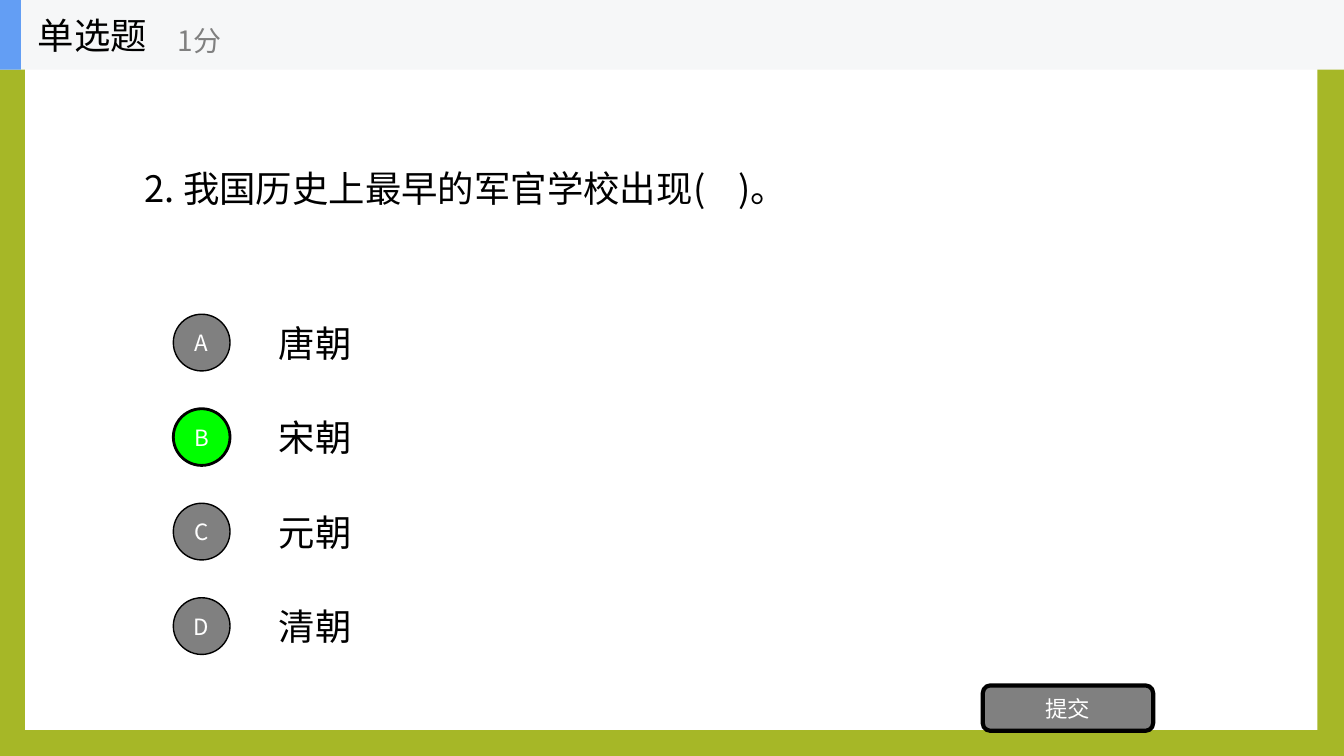
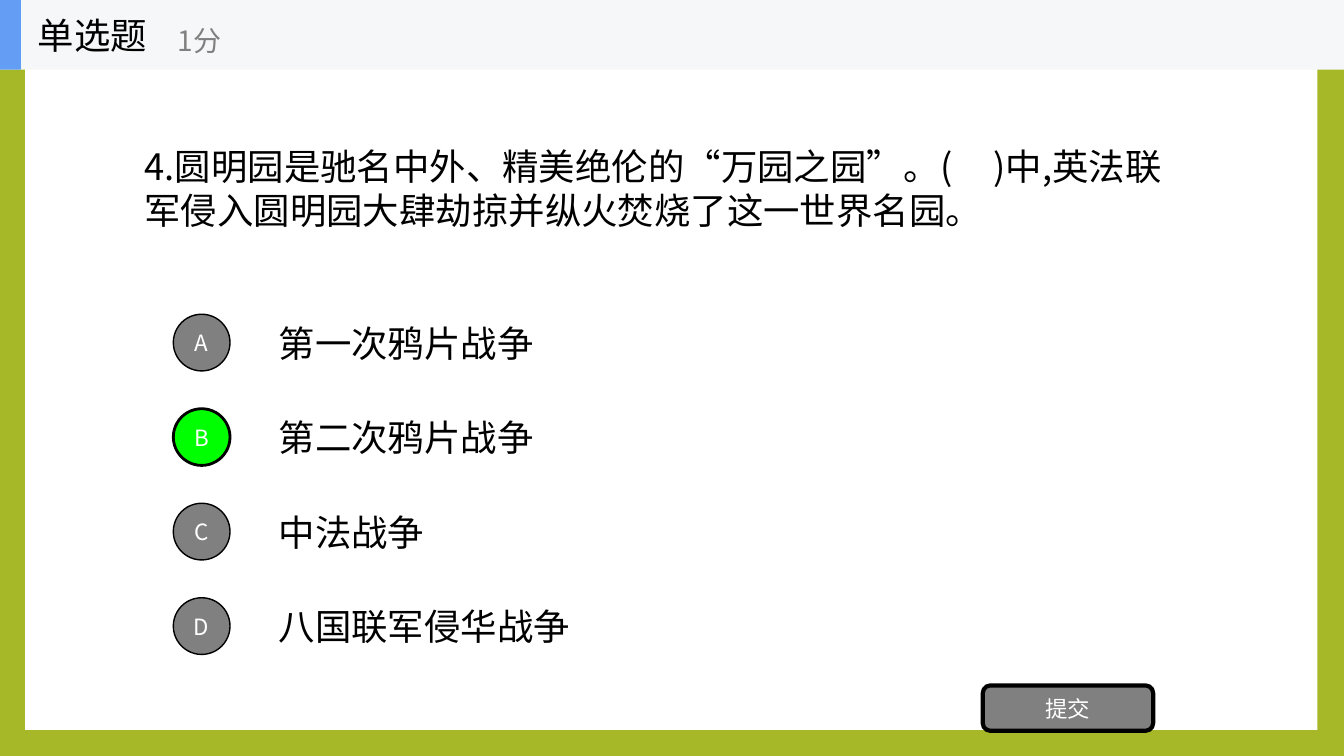
from lxml import etree
from pptx import Presentation
from pptx.dml.color import RGBColor
from pptx.enum.shapes import MSO_SHAPE
from pptx.enum.text import MSO_ANCHOR, MSO_AUTO_SIZE, PP_ALIGN
from pptx.oxml.ns import qn
from pptx.util import Pt

RECTANGLE, ROUNDED, OVAL = MSO_SHAPE.RECTANGLE, MSO_SHAPE.ROUNDED_RECTANGLE, MSO_SHAPE.OVAL
LEFT, CENTER = PP_ALIGN.LEFT, PP_ALIGN.CENTER
MIDDLE = MSO_ANCHOR.MIDDLE
NO_AUTOFIT = MSO_AUTO_SIZE.NONE

QUESTIONS = [
    {
        "text": "2. 我国历史上最早的军官学校出现(    )。",
        "width": 489.6,
        "options": ["唐朝", "宋朝", "元朝", "清朝"],
        "answer": "B",
    },
    {
        "text": "4.圆明园是驰名中外、精美绝伦的“万园之园”。(     )中,英法联军侵入圆明园大肆劫掠并纵火焚烧了这一世界名园。",
        "width": 748,
        "options": ["第一次鸦片战争", "第二次鸦片战争", "中法战争", "八国联军侵华战争"],
        "answer": "B",
    },
]
QUESTION_TYPE, SCORE, SUBMIT = "单选题", "1分", "提交"

FONT = "Noto Sans CJK SC"
COLORS = {
    "background": "A6B727",
    "panel": "FFFFFF",
    "header": "F6F7F8",
    "accent": "639EF4",
    "text": "000000",
    "gray": "808080",
    "correct": "00FF00",
    "light": "FFFFFF",
}
BODY = {"size": 26, "color": "text", "align": LEFT}
NOTE = {"size": 20, "color": "gray", "align": LEFT}
LABEL = {"size": 16, "color": "light", "align": CENTER}

SLIDE_WIDTH, SLIDE_HEIGHT = 960, 540
HEADER_HEIGHT = 49.7
LAYOUT_BLOCKS = [
    ((18, 19.4, 923, 502), "panel"),
    ((0, 0, SLIDE_WIDTH, HEADER_HEIGHT), "header"),
    ((0, 0, 15, HEADER_HEIGHT), "accent"),
]
QUESTION_LEFT, QUESTION_TOP, QUESTION_HEIGHT = 96, 99.4, 70
CIRCLE_LEFT, CIRCLE_SIZE = 123.8, 40.5
FIRST_CENTER, OPTION_PITCH = 244.7, 67.5
OPTION_LEFT, OPTION_HEIGHT, OPTION_PADDING = 192, 38, 22


def color(name):
    return RGBColor.from_string(COLORS[name])


def write(shape, text, style):
    frame = shape.text_frame
    for name, value in {"word_wrap": True, "auto_size": NO_AUTOFIT, "vertical_anchor": MIDDLE}.items():
        setattr(frame, name, value)
    paragraph = frame.paragraphs[0]
    paragraph.alignment = style["align"]
    run = paragraph.add_run()
    run.text = text
    for name, value in {"name": FONT, "size": Pt(style["size"])}.items():
        setattr(run.font, name, value)
    run.font.color.rgb = color(style["color"])
    east_asian = etree.SubElement(run._r.get_or_add_rPr(), qn("a:ea"))
    east_asian.set("typeface", FONT)


def add_text(slide, box, text, style):
    write(slide.shapes.add_textbox(*map(Pt, box)), text, style)


def add_block(slide, kind, box, fill, line_width=0, label=None):
    shape = slide.shapes.add_shape(kind, *map(Pt, box))
    shape.shadow.inherit = False
    shape.fill.solid()
    shape.fill.fore_color.rgb = color(fill)
    if line_width:
        shape.line.width = Pt(line_width)
        shape.line.color.rgb = color("text")
    else:
        shape.line.fill.background()
    if label:
        write(shape, label, LABEL)
    return shape


def move_to_layout(shape, layout):
    """Makes the shape part of every slide that uses the layout."""
    layout.shapes.element.append(shape.element)


def add_question(slide, question):
    title = slide.shapes.title
    title.left, title.top = Pt(QUESTION_LEFT), Pt(QUESTION_TOP)
    title.width, title.height = Pt(question["width"]), Pt(QUESTION_HEIGHT)
    write(title, question["text"], BODY)

    for index, (letter, option) in enumerate(zip("ABCD", question["options"])):
        center = FIRST_CENTER + index * OPTION_PITCH
        width = len(option) * BODY["size"] + OPTION_PADDING
        add_text(slide, (OPTION_LEFT, center - OPTION_HEIGHT / 2, width, OPTION_HEIGHT), option, BODY)
        fill, line_width = ("correct", 2) if letter == question["answer"] else ("gray", 1)
        circle = (CIRCLE_LEFT, center - CIRCLE_SIZE / 2, CIRCLE_SIZE, CIRCLE_SIZE)
        add_block(slide, OVAL, circle, fill, line_width, letter)

    add_block(slide, ROUNDED, (702, 489.6, 121.7, 32.4), "gray", 3, SUBMIT)
    add_text(slide, (20, 0, 150, HEADER_HEIGHT), QUESTION_TYPE, BODY)
    add_text(slide, (120, 8.6, 180, 40.3), SCORE, NOTE)


def main():
    presentation = Presentation()
    presentation.slide_width, presentation.slide_height = Pt(SLIDE_WIDTH), Pt(SLIDE_HEIGHT)
    background = presentation.slide_master.background.fill
    background.solid()
    background.fore_color.rgb = color("background")

    layout = presentation.slide_layouts.get_by_name("Title Only")
    slides = [presentation.slides.add_slide(layout) for _ in QUESTIONS]
    for box, fill in LAYOUT_BLOCKS:
        move_to_layout(add_block(slides[0], RECTANGLE, box, fill), layout)
    for slide, question in zip(slides, QUESTIONS):
        add_question(slide, question)
    presentation.save("out.pptx")


if __name__ == "__main__":
    main()
